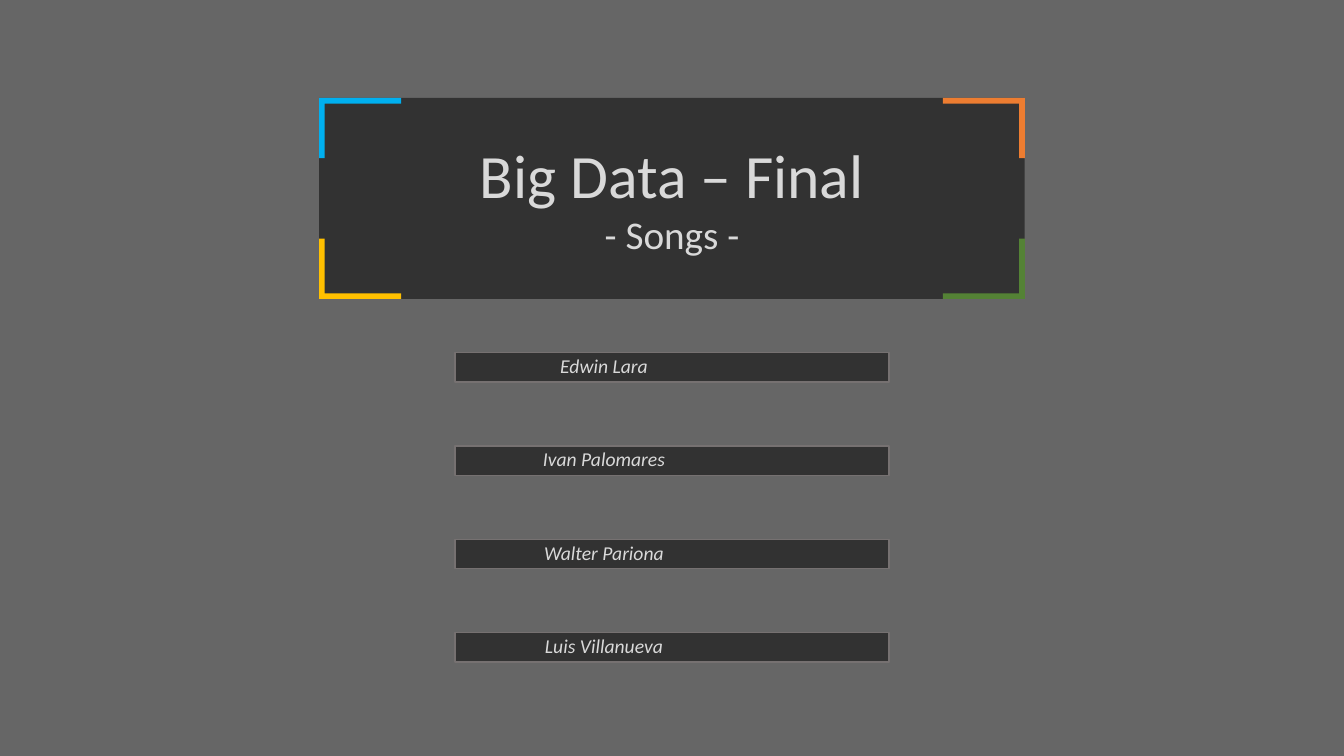
"""Build the title slide of the Big Data final project on songs."""
import pptx
import pptx.util
import pptx.dml.color
import pptx.enum.shapes
import pptx.enum.text
import pptx.oxml
import pptx.oxml.ns

Pt = pptx.util.Pt
RGBColor = pptx.dml.color.RGBColor

BLACK = RGBColor(0x00, 0x00, 0x00)
BACKGROUND = RGBColor(0x66, 0x66, 0x66)
TEXT = RGBColor(0xD9, 0xD9, 0xD9)
BORDER = RGBColor(0x76, 0x71, 0x71)
BLUE = RGBColor(0x00, 0xB0, 0xF0)
ORANGE = RGBColor(0xED, 0x7D, 0x31)
YELLOW = RGBColor(0xFF, 0xC0, 0x00)
GREEN = RGBColor(0x54, 0x82, 0x35)

TITLE = "Big Data – Final"
SUBTITLE = "- Songs -"
AUTHORS = ["Edwin Lara", "Ivan Palomares", "Walter Pariona", "Luis Villanueva"]
CORNERS = [(0, 0, BLUE), (1, 0, ORANGE), (0, 1, YELLOW), (1, 1, GREEN)]

SLIDE_W, SLIDE_H = 960, 540
PANEL_W, PANEL_H, PANEL_TOP = 504, 143.5, 70
PANEL_LEFT = (SLIDE_W - PANEL_W) / 2
ARM_W, ARM_H, THICK = 58.5, 43, 4
BAR_W, BAR_H, BAR_TOP, BAR_PITCH = 310, 21, 251.8, 66.7
BAR_LEFT = (SLIDE_W - BAR_W) / 2
NAME_W, NAME_H = 213, 24.5


def add_panel(s, x, y, w, h):
    """Add a half-transparent black rectangle."""
    sp = s.shapes.add_shape(pptx.enum.shapes.MSO_SHAPE.RECTANGLE,
                            Pt(x), Pt(y), Pt(w), Pt(h))
    sp.shadow.inherit = False
    sp.fill.solid()
    sp.fill.fore_color.rgb = BLACK
    color = sp.element.find(".//" + pptx.oxml.ns.qn("a:srgbClr"))
    color.append(pptx.oxml.parse_xml(
        f'<a:alpha {pptx.oxml.ns.nsdecls("a")} val="50000"/>'))
    sp.line.fill.background()
    return sp


def add_corner(s, right, bottom, color):
    """Add an L-shaped bracket in one corner of the title panel."""
    x, dx = PANEL_LEFT + right * PANEL_W, 1 - 2 * right
    y, dy = PANEL_TOP + bottom * PANEL_H, 1 - 2 * bottom
    outline = [(0, 0), (ARM_W, 0), (ARM_W, THICK), (THICK, THICK),
               (THICK, ARM_H), (0, ARM_H)]
    points = [(Pt(x + dx * a), Pt(y + dy * b)) for a, b in outline]
    builder = s.shapes.build_freeform(*points[0])
    builder.add_line_segments(points[1:], close=True)
    sp = builder.convert_to_shape()
    sp.shadow.inherit = False
    sp.fill.solid()
    sp.fill.fore_color.rgb = color
    sp.line.fill.background()


def write(sp, text, size, italic=False):
    """Write one centred line at the top of a text shape."""
    tf = sp.text_frame
    tf.word_wrap = True
    tf.auto_size = pptx.enum.text.MSO_AUTO_SIZE.NONE
    tf.vertical_anchor = pptx.enum.text.MSO_ANCHOR.TOP
    p = tf.paragraphs[0]
    p.alignment = pptx.enum.text.PP_ALIGN.CENTER
    p.line_spacing = 1.0
    r = p.add_run()
    r.text = text
    r.font.name = "Calibri"
    r.font.size = Pt(size)
    r.font.italic = italic
    r.font.color.rgb = TEXT


def add_label(s, x, y, w, h, text, size, italic=False):
    """Add a text box with one line."""
    write(s.shapes.add_textbox(Pt(x), Pt(y), Pt(w), Pt(h)), text, size, italic)


def main():
    """Compose and save the slide."""
    prs = pptx.Presentation()
    prs.slide_width, prs.slide_height = Pt(SLIDE_W), Pt(SLIDE_H)
    s = prs.slides.add_slide(prs.slide_layouts[5])
    s.background.fill.solid()
    s.background.fill.fore_color.rgb = BACKGROUND

    title = s.shapes.title
    title.left, title.top, title.width, title.height = Pt(241), Pt(94.5), Pt(478), Pt(60.5)
    write(title, TITLE, 44)
    panel = add_panel(s, PANEL_LEFT, PANEL_TOP, PANEL_W, PANEL_H)
    title.element.addprevious(panel.element)
    for right, bottom, color in CORNERS:
        add_corner(s, right, bottom, color)
    add_label(s, 276, 147, 408, 42, SUBTITLE, 28)

    for i, author in enumerate(AUTHORS):
        y = BAR_TOP + i * BAR_PITCH
        bar = add_panel(s, BAR_LEFT, y, BAR_W, BAR_H)
        bar.line.color.rgb = BORDER
        bar.line.width = Pt(1)
        add_label(s, BAR_LEFT, y - 2.6, NAME_W, NAME_H, author, 14, True)

    prs.save("out.pptx")


if __name__ == "__main__":
    main()
